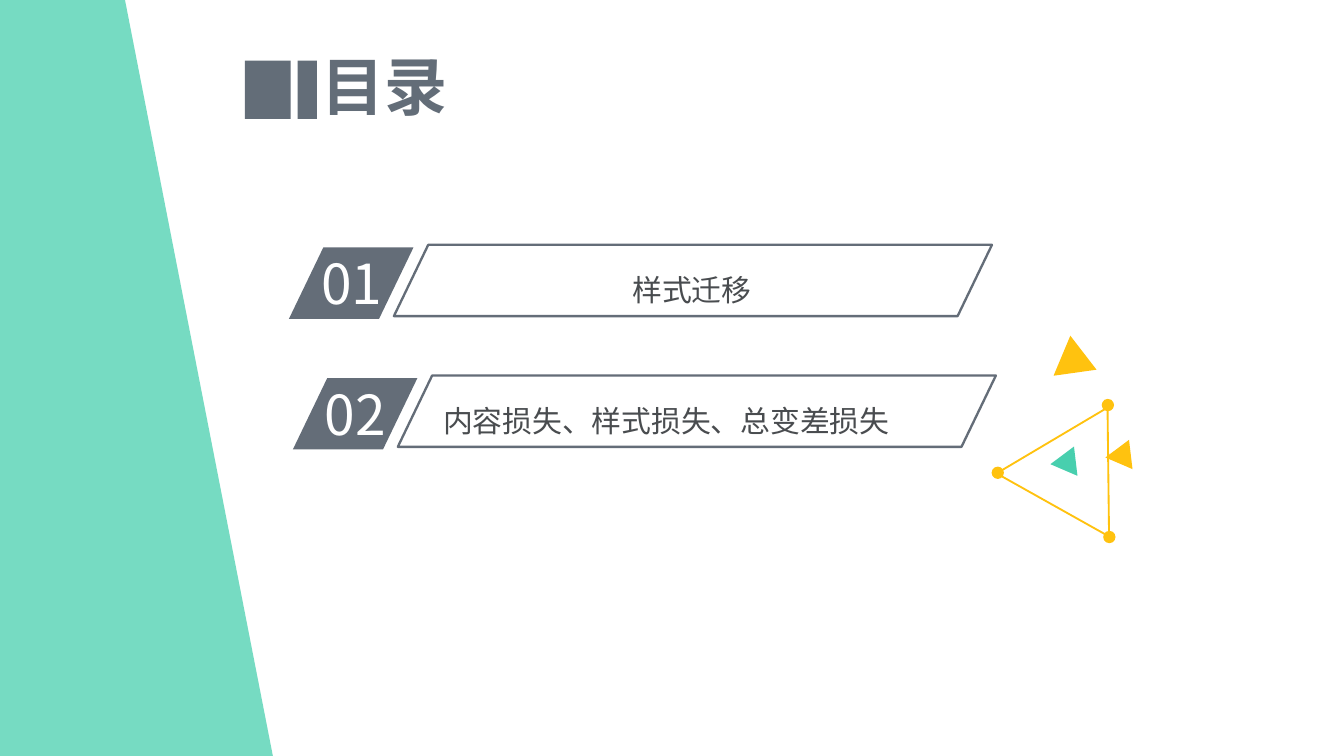
from lxml.etree import SubElement
from pptx import Presentation
from pptx.dml.color import RGBColor
from pptx.enum.shapes import MSO_SHAPE
from pptx.enum.text import MSO_ANCHOR, PP_ALIGN
from pptx.oxml.ns import qn
from pptx.util import Pt

FONT = "Noto Sans CJK SC"
TEAL = RGBColor(0x49, 0xCF, 0xAE)
TEAL_ACCENT = RGBColor(0x48, 0xCF, 0xAE)
YELLOW = RGBColor(0xFF, 0xC2, 0x0F)
SLATE = RGBColor(0x63, 0x6D, 0x78)
SLATE_ROW = RGBColor(0x64, 0x6D, 0x78)
INK = RGBColor(0x49, 0x4C, 0x4F)
WHITE = RGBColor(0xFF, 0xFF, 0xFF)


class Deck:
    def __init__(self, width, height):
        self.prs = Presentation()
        self.prs.slide_width, self.prs.slide_height = Pt(width), Pt(height)
        self.s = self.prs.slides.add_slide(self.prs.slide_layouts[6])

    def group(self):
        return self.s.shapes.add_group_shape().shapes

    def paint(self, sp, fill=None, line=None, weight=1):
        sp.shadow.inherit = False
        if fill is None:
            sp.fill.background()
        else:
            sp.fill.solid()
            sp.fill.fore_color.rgb = fill
        if line is None:
            sp.line.fill.background()
        else:
            sp.line.color.rgb = line
            sp.line.width = Pt(weight)

    def shape(self, kind, box, fill=None, line=None, weight=1, rot=0,
              adj=None, parent=None):
        shapes = self.s.shapes if parent is None else parent
        sp = shapes.add_shape(kind, *map(Pt, box))
        sp.rotation = rot
        if adj is not None:
            sp.adjustments[0] = adj
        self.paint(sp, fill, line, weight)

    def polygon(self, points, fill, alpha):
        start, *rest = [(Pt(x), Pt(y)) for x, y in points]
        fb = self.s.shapes.build_freeform(*start)
        fb.add_line_segments(rest, close=True)
        sp = fb.convert_to_shape()
        self.paint(sp, fill)
        color = sp.fill._xPr.find(qn("a:solidFill"))[0]
        SubElement(color, qn("a:alpha"), val=str(alpha * 1000))

    def text(self, box, words, size, color, align=PP_ALIGN.LEFT, bold=False,
             anchor=MSO_ANCHOR.TOP, spacing=None, inset=(7.2, 3.6), parent=None):
        shapes = self.s.shapes if parent is None else parent
        tf = shapes.add_textbox(*map(Pt, box)).text_frame
        tf.word_wrap = True
        tf.vertical_anchor = anchor
        tf.margin_left = tf.margin_right = Pt(inset[0])
        tf.margin_top = tf.margin_bottom = Pt(inset[1])
        p = tf.paragraphs[0]
        p.alignment = align
        if spacing:
            p.line_spacing = spacing
        r = p.add_run()
        r.text = words
        r.font.size, r.font.bold = Pt(size), bold
        r.font.color.rgb = color
        r.font.name = FONT
        SubElement(r.font._element, qn("a:ea"), typeface=FONT)


def main():
    deck = Deck(720, 405)

    # Triangle ornament
    ornament = deck.group()
    for box, rot, fill, line in [
        ((560.9, 185, 23, 20.2), 232.4, YELLOW, None),
        ((565.2, 242.6, 15.8, 13.7), 143.3, TEAL_ACCENT, None),
        ((594.7, 239, 15.8, 13.7), 143.3, YELLOW, None),
        ((544.3, 231.8, 69.1, 59.8), 149.3, None, YELLOW),
    ]:
        deck.shape(MSO_SHAPE.ISOSCELES_TRIANGLE, box, fill, line, rot=rot,
                   parent=ornament)
    for x, y in [(590.2, 213.7), (591, 284.4), (531.2, 250)]:
        deck.shape(MSO_SHAPE.OVAL, (x, y, 6.6, 6.6), YELLOW, parent=ornament)

    # Title with its two blocks
    deck.text((112.3, 25.2, 187.2, 41), "目录", 33.8, SLATE, PP_ALIGN.CENTER,
              bold=True, anchor=MSO_ANCHOR.MIDDLE)
    for x, width in [(159.4, 10.4), (131.2, 24.6)]:
        deck.shape(MSO_SHAPE.RECTANGLE, (x, 32.5, width, 31.2), SLATE)

    # Contents rows: number tag, label and outline
    rows = [("01", "样式迁移", 154.8, 132.6, 98.6, 234.7),
            ("02", "内容损失、样式损失、总变差损失", 156.9, 202.6, 63.4, 273.6)]
    for number, label, x, y, indent, width in rows:
        row = deck.group()
        deck.shape(MSO_SHAPE.PARALLELOGRAM, (x, y, 66.7, 38.2), SLATE_ROW,
                   adj=0.482, parent=row)
        deck.text((x + 10.1, y - 2.3, 63.4, 43.2), number, 29.5, WHITE,
                  parent=row)
        deck.text((x + indent, y + 0.6, width, 30.4), label, 16, INK,
                  PP_ALIGN.CENTER, spacing=1.5, inset=(5.8, 2.9), parent=row)
        deck.shape(MSO_SHAPE.PARALLELOGRAM, (x + 56.2, y - 1.4, 320.4, 38.2),
                   line=SLATE_ROW, weight=1.25, adj=0.482, parent=row)

    # Slanted side panel
    deck.polygon([(0, 0), (67, 0), (146.2, 405), (0, 405)], TEAL, 75)

    deck.prs.save("out.pptx")


if __name__ == "__main__":
    main()
